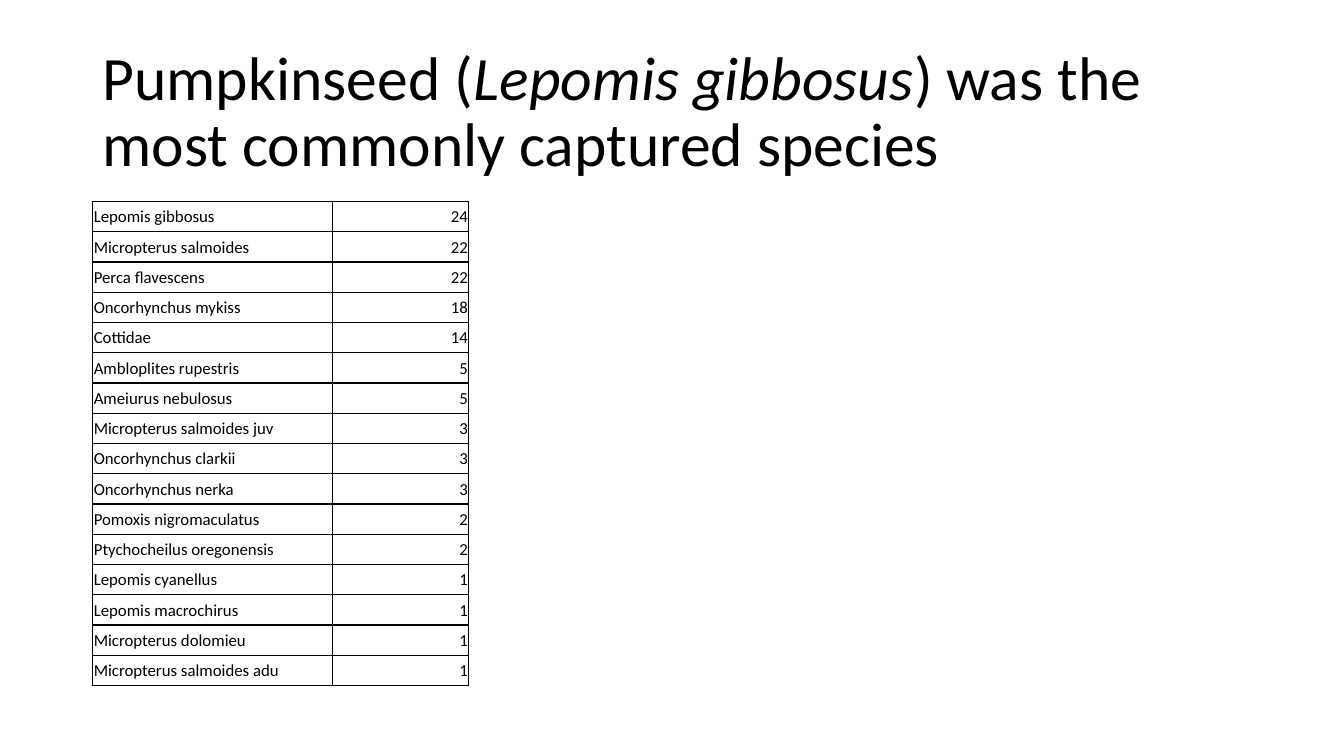
from lxml import etree
from pptx import Presentation
from pptx.dml.color import RGBColor
from pptx.enum.text import MSO_ANCHOR, PP_ALIGN
from pptx.oxml.ns import qn
from pptx.util import Inches, Pt

MIDDLE = MSO_ANCHOR.MIDDLE
LEFT, RIGHT = PP_ALIGN.LEFT, PP_ALIGN.RIGHT
BLACK = RGBColor(0x00, 0x00, 0x00)
FONT = "Calibri"

# Content: title runs as (text, italic), then catch per species
TITLE = [
    ("Pumpkinseed (", False),
    ("Lepomis gibbosus", True),
    (") was the most commonly captured species", False),
]
CATCH = [
    ("Lepomis gibbosus", 24),
    ("Micropterus salmoides", 22),
    ("Perca flavescens", 22),
    ("Oncorhynchus mykiss", 18),
    ("Cottidae", 14),
    ("Ambloplites rupestris", 5),
    ("Ameiurus nebulosus", 5),
    ("Micropterus salmoides juv", 3),
    ("Oncorhynchus clarkii", 3),
    ("Oncorhynchus nerka", 3),
    ("Pomoxis nigromaculatus", 2),
    ("Ptychocheilus oregonensis", 2),
    ("Lepomis cyanellus", 1),
    ("Lepomis macrochirus", 1),
    ("Micropterus dolomieu", 1),
    ("Micropterus salmoides adu", 1),
]

# Grid, in inches
WIDE, HIGH = 13.33, 7.5
EDGE = 0.92
TOP = 2
COLS = (2.38, 1.35)
ROW = 0.3


def write(frame, runs, size, align=LEFT, spacing=None):
    """Fill the first paragraph of a frame with (text, italic) runs."""
    para = frame.paragraphs[0]
    para.alignment = align
    if spacing:
        para.line_spacing = spacing
    for text, italic in runs:
        run = para.add_run()
        run.text = text
        font = run.font
        font.name, font.size, font.italic = FONT, Pt(size), italic
        font.color.rgb = BLACK


def border(cell, width=1):
    """Draw a solid line on all four sides of a cell."""
    props = cell._tc.get_or_add_tcPr()
    for side in ("lnL", "lnR", "lnT", "lnB"):
        line = etree.SubElement(props, qn("a:" + side), w=str(Pt(width)))
        fill = etree.SubElement(line, qn("a:solidFill"))
        etree.SubElement(fill, qn("a:srgbClr"), val=str(BLACK))


def main():
    deck = Presentation()
    deck.slide_width, deck.slide_height = Inches(WIDE), Inches(HIGH)
    slide = deck.slides.add_slide(deck.slide_layouts[6])

    # Title
    box = slide.shapes.add_textbox(
        Inches(EDGE), Inches(0.4), Inches(WIDE - 2 * EDGE), Inches(1.45))
    frame = box.text_frame
    frame.word_wrap = True
    frame.vertical_anchor = MIDDLE
    write(frame, TITLE, 44, spacing=0.9)

    # Species table
    table = slide.shapes.add_table(
        len(CATCH), len(COLS), Inches(EDGE), Inches(TOP),
        Inches(sum(COLS)), Inches(ROW * len(CATCH))).table
    table.first_row = table.horz_banding = False
    for col, width in zip(table.columns, COLS):
        col.width = Inches(width)
    for row, record in zip(table.rows, CATCH):
        row.height = Inches(ROW)
        for cell, value, align in zip(row.cells, record, (LEFT, RIGHT)):
            cell.margin_left = cell.margin_right = Inches(0.01)
            cell.margin_top, cell.margin_bottom = Inches(0.01), 0
            cell.vertical_anchor = MIDDLE
            border(cell)
            cell.fill.background()
            write(cell.text_frame, [(str(value), False)], 12, align)

    deck.save("out.pptx")


if __name__ == "__main__":
    main()
